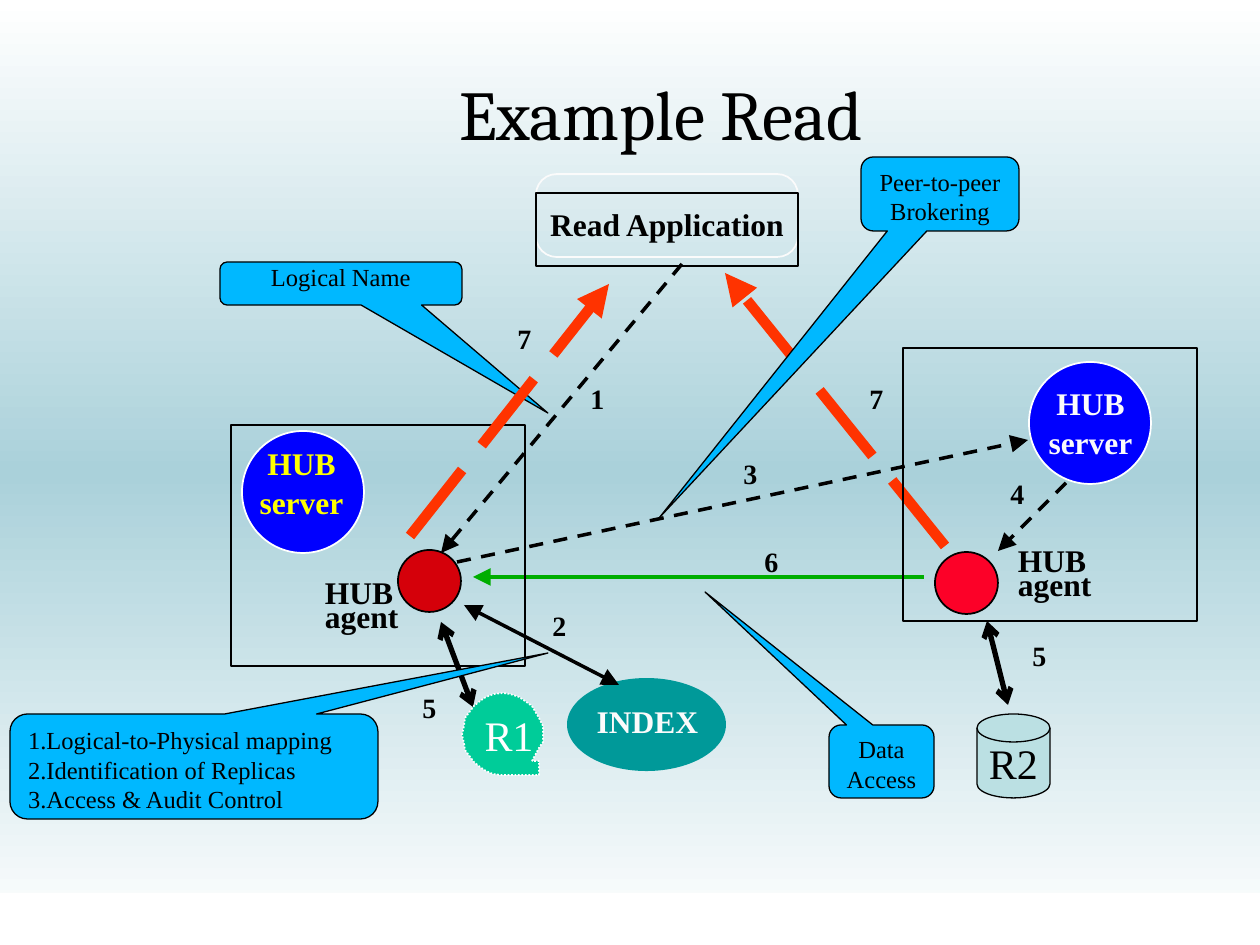
from copy import deepcopy
from dataclasses import dataclass

from lxml.etree import SubElement
from pptx import Presentation
from pptx.dml.color import RGBColor
from pptx.enum.dml import MSO_LINE
from pptx.enum.shapes import MSO_CONNECTOR, MSO_SHAPE
from pptx.enum.text import MSO_ANCHOR, PP_ALIGN
from pptx.oxml.ns import qn
from pptx.util import Pt

EMU_PER_PX = 914400 / 126


@dataclass(frozen=True)
class Theme:
    heading: str = "Cambria"
    body: str = "Times New Roman"
    title_size: int = 40
    resource_size: int = 24
    label_size: int = 18
    step_size: int = 16
    callout_size: int = 14
    black: str = "000000"
    white: str = "FFFFFF"
    off_white: str = "FBFBFB"
    yellow: str = "FFFF00"
    sky: str = "AAD1DA"
    server: str = "0000FF"
    left_agent: str = "D5000A"
    right_agent: str = "FC0128"
    callout: str = "00B8FF"
    tape: str = "00CC99"
    index: str = "009999"
    disk: str = "BBE0E3"
    result: str = "FF3300"
    transfer: str = "00AE00"


THEME = Theme()
TAPE_OUTLINE = [
    (532, 761), (539, 748), (543, 742), (543, 735), (543, 726), (539, 718),
    (532, 706), (525, 701), (519, 697), (510, 694), (503, 693), (494, 694),
    (486, 697), (480, 701), (474, 706), (465, 718), (464, 726), (462, 735),
    (464, 743), (465, 750), (474, 762), (480, 767), (486, 771), (493, 774),
    (501, 775), (539, 775), (539, 761),
]


def px(value):
    return round(value * EMU_PER_PX)


def color(value):
    return RGBColor.from_string(value)


def paint(shape, fill=None, line=None, width=1.0):
    shape.shadow.inherit = False
    if fill:
        shape.fill.solid()
        shape.fill.fore_color.rgb = color(fill)
    else:
        shape.fill.background()
    if line:
        shape.line.color.rgb = color(line)
        shape.line.width = Pt(width)
    else:
        shape.line.fill.background()


def add_shape(slide, kind, box, fill=None, line=None, width=1.0, corner=None):
    shape = slide.shapes.add_shape(kind, *map(px, box))
    paint(shape, fill, line, width)
    if corner is not None:
        shape.adjustments[0] = corner
    return shape


def write(shape, lines, size, ink=THEME.black, font=THEME.body, bold=False,
          align=PP_ALIGN.CENTER, anchor=MSO_ANCHOR.MIDDLE, spacing=None,
          before=0, inset=(2, 4), wrap=True):
    frame = shape.text_frame
    frame.word_wrap = wrap
    frame.vertical_anchor = anchor
    frame.margin_left = frame.margin_right = px(inset[0])
    frame.margin_top = frame.margin_bottom = px(inset[1])
    for index, line in enumerate(lines):
        paragraph = frame.add_paragraph() if index else frame.paragraphs[0]
        paragraph.alignment = align
        paragraph.space_before = Pt(before)
        if spacing:
            paragraph.line_spacing = spacing
        run = paragraph.add_run()
        run.text = line
        run.font.name = font
        run.font.size = Pt(size)
        run.font.bold = bold
        run.font.color.rgb = color(ink)


def add_text(slide, box, lines, size, **style):
    write(slide.shapes.add_textbox(*map(px, box)), lines, size, **style)


def add_label(slide, box, lines, spacing=0.64, **style):
    add_text(slide, box, lines, THEME.label_size, bold=True, spacing=spacing, before=4.1, **style)


def add_server(slide, left, top, text_left, text_top, ink):
    add_shape(slide, MSO_SHAPE.OVAL, (left, top, 122, 122), THEME.server, THEME.white)
    add_label(slide, (text_left, text_top, 121, 89), ["HUB", "server"], spacing=0.84, ink=ink)


def add_agent(slide, left, top, fill, label_box):
    add_shape(slide, MSO_SHAPE.OVAL, (left, top, 63, 62), fill, THEME.black)
    add_label(slide, label_box, ["HUB agent"], align=PP_ALIGN.LEFT, inset=(30, 4))


def add_step(slide, number, left, top, width=53, height=47):
    add_text(slide, (left, top, width, height), [number], THEME.step_size,
             bold=True, spacing=0.85, before=3.6, inset=(2, 6))


def add_arrow(slide, start, end, ink=THEME.black, width=2, dash=None,
              head=None, tail="triangle", head_size="lg"):
    connector = slide.shapes.add_connector(MSO_CONNECTOR.STRAIGHT, *map(px, start + end))
    connector.line.color.rgb = color(ink)
    connector.line.width = Pt(width)
    if dash:
        connector.line.dash_style = dash
    properties = connector.element.spPr
    outline = properties.find(qn("a:ln"))
    for tag, kind in (("a:headEnd", head), ("a:tailEnd", tail)):
        if kind:
            SubElement(outline, qn(tag), type=kind, w=head_size, len=head_size)
    SubElement(properties, qn("a:effectLst"))


def add_result_arrow(slide, start, end):
    add_arrow(slide, start, end, THEME.result, 6, MSO_LINE.LONG_DASH, head_size="med")


def add_callout(slide, box, tip, lines, **style):
    left, top, width, height = box
    shape = add_shape(slide, MSO_SHAPE.ROUNDED_RECTANGULAR_CALLOUT, box,
                      THEME.callout, THEME.black, 0.75)
    shape.adjustments[0] = (tip[0] - left) / width - 0.5
    shape.adjustments[1] = (tip[1] - top) / height - 0.5
    shape.adjustments[2] = 0.167
    write(shape, lines, THEME.callout_size, anchor=MSO_ANCHOR.TOP, inset=(13, 6), **style)


def add_tape(slide):
    builder = slide.shapes.build_freeform(*TAPE_OUTLINE[0], scale=EMU_PER_PX)
    builder.add_line_segments(TAPE_OUTLINE[1:], close=True)
    tape = builder.convert_to_shape()
    paint(tape, THEME.tape, THEME.white)
    tape.line.dash_style = MSO_LINE.ROUND_DOT


def set_background(slide):
    fill = slide.background.fill
    fill.gradient()
    fill.gradient_angle = 270
    stop_list = slide.element.find(".//" + qn("a:gsLst"))
    stop_list.insert(1, deepcopy(stop_list[0]))
    inks = (THEME.white, THEME.sky, THEME.white)
    for stop, position, ink in zip(fill.gradient_stops, (0, 0.5, 1), inks):
        stop.position = position
        stop.color.rgb = color(ink)


def main():
    presentation = Presentation()
    presentation.slide_width, presentation.slide_height = px(1260), px(945)
    slide = presentation.slides.add_slide(presentation.slide_layouts[6])
    set_background(slide)
    add_shape(slide, MSO_SHAPE.RECTANGLE, (0, 893, 1260, 52), THEME.white)

    add_server(slide, 242, 431, 241, 441, THEME.yellow)
    add_agent(slide, 398, 550, THEME.left_agent, (295, 567, 136, 84))
    add_server(slide, 1029, 362, 1030, 381, THEME.off_white)
    add_agent(slide, 935, 552, THEME.right_agent, (988, 546, 136, 63))

    for start, end in (((1066, 483), (998, 551)), ((457, 562), (1028, 440)), ((682, 264), (441, 553))):
        add_arrow(slide, start, end, dash=MSO_LINE.DASH)
    add_arrow(slide, (924, 577), (473, 577), THEME.transfer)
    add_text(slide, (137, 63, 1048, 100), ["Example Read"], THEME.title_size,
             font=THEME.heading, before=9.9, inset=(2, 6))
    for start, end in (((987, 621), (1008, 705)), ((441, 622), (473, 707))):
        add_arrow(slide, start, end, width=3, head="arrow", tail="arrow", head_size="med")

    add_tape(slide)
    add_shape(slide, MSO_SHAPE.OVAL, (567, 678, 159, 93), THEME.index)
    add_label(slide, (586, 708, 123, 38), ["INDEX"], spacing=0.56, ink=THEME.off_white)
    add_shape(slide, MSO_SHAPE.ROUNDED_RECTANGLE, (536, 174, 262, 83), line=THEME.off_white, corner=0.25)
    add_shape(slide, MSO_SHAPE.RECTANGLE, (536, 193, 262, 73), line=THEME.black, width=0.75)
    add_label(slide, (536, 193, 262, 73), ["Read Application"])
    add_arrow(slide, (464, 605), (619, 685), head="triangle")

    add_step(slide, "1", 578, 372, 39, 57)
    add_step(slide, "2", 533, 599, height=57)
    add_step(slide, "3", 731, 452, 39)
    add_step(slide, "4", 998, 472, 39)
    add_step(slide, "7", 498, 317)
    add_step(slide, "6", 745, 535, height=57)
    add_result_arrow(slide, (945, 546), (725, 273))
    for site in ((231, 425, 294, 241), (903, 348, 294, 273)):
        add_shape(slide, MSO_SHAPE.RECTANGLE, site, line=THEME.black, width=0.75)

    add_callout(slide, (220, 262, 242, 43), (548, 413), ["Logical Name"], spacing=0.7)
    add_callout(slide, (10, 714, 368, 105), (548, 653), [
        "1.Logical-to-Physical mapping",
        "2.Identification of Replicas",
        "3.Access & Audit Control",
    ], align=PP_ALIGN.LEFT)
    add_callout(slide, (861, 157, 158, 74), (659, 518), ["Peer-to-peer Brokering"])
    add_callout(slide, (829, 725, 105, 73), (705, 592), ["Data Access"])
    add_text(slide, (467, 704, 84, 63), ["R1"], THEME.resource_size,
             ink=THEME.white, anchor=MSO_ANCHOR.TOP, inset=(13, 6), wrap=False)
    disk = add_shape(slide, MSO_SHAPE.FLOWCHART_MAGNETIC_DISK, (977, 714, 73, 84),
                     THEME.disk, THEME.black, 0.75)
    write(disk, ["R2"], THEME.resource_size, inset=(13, 6), wrap=False)
    add_result_arrow(slide, (410, 536), (609, 284))
    for number, left, top in (("7", 850, 377), ("5", 1013, 634), ("5", 403, 686)):
        add_step(slide, number, left, top)

    presentation.save("out.pptx")


if __name__ == "__main__":
    main()
